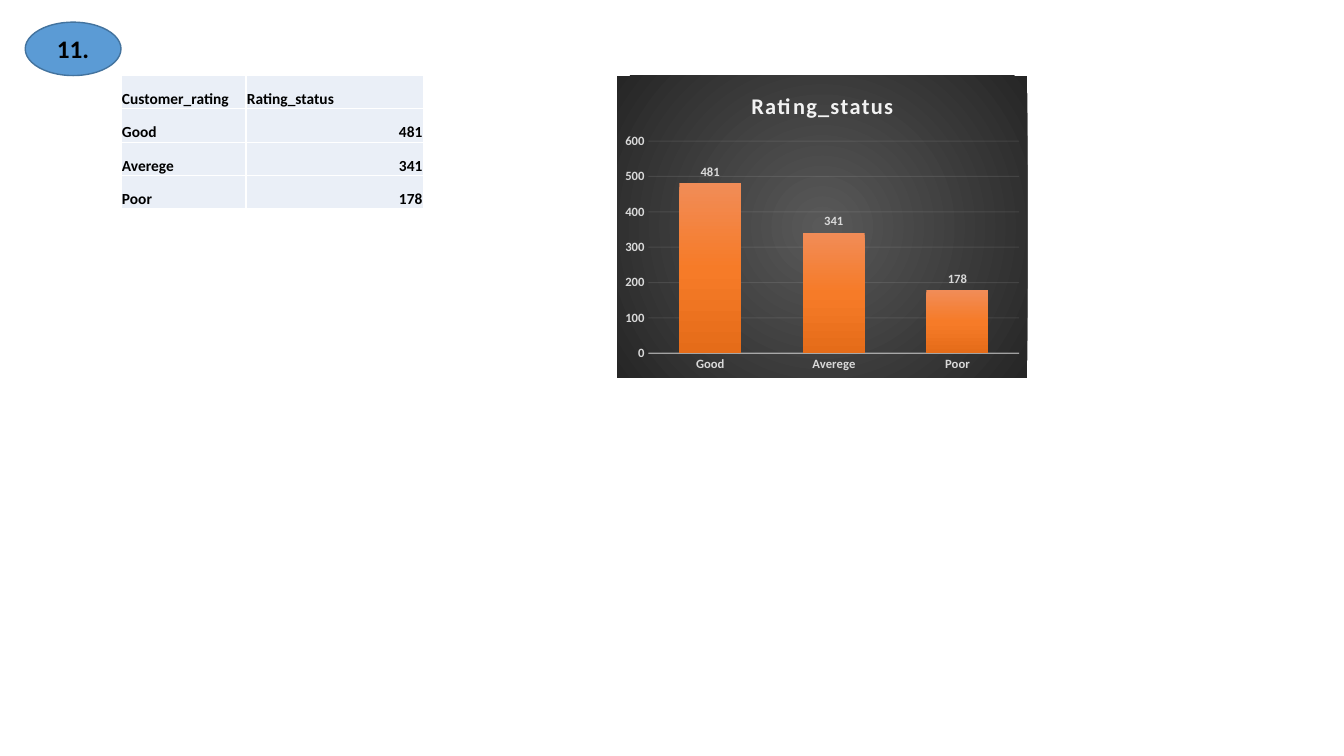
from dataclasses import dataclass

from pptx import Presentation
from pptx.chart.data import CategoryChartData
from pptx.dml.color import RGBColor
from pptx.enum.chart import XL_CHART_TYPE, XL_LABEL_POSITION, XL_TICK_MARK
from pptx.enum.shapes import MSO_SHAPE
from pptx.enum.text import MSO_ANCHOR, PP_ALIGN
from pptx.oxml import parse_xml
from pptx.oxml.ns import nsdecls, qn
from pptx.util import Emu, Pt

PX = 9144  # 100 px to the inch
COLUMN = XL_CHART_TYPE.COLUMN_CLUSTERED
OUTSIDE_END = XL_LABEL_POSITION.OUTSIDE_END
NO_TICK = XL_TICK_MARK.NONE
ELLIPSE = MSO_SHAPE.OVAL
MIDDLE, BOTTOM = MSO_ANCHOR.MIDDLE, MSO_ANCHOR.BOTTOM
LEFT, CENTER, RIGHT = PP_ALIGN.LEFT, PP_ALIGN.CENTER, PP_ALIGN.RIGHT


@dataclass(frozen=True)
class Theme:
    font: str = "Calibri"
    text: str = "000000"
    badge: str = "5B9BD5"
    badge_line: str = "43739E"
    cell: str = "EAEFF7"
    border: str = "FFFFFF"
    chart_text: str = "D9D9D9"
    chart_light: str = "F2F2F2"
    chart_back: tuple = ((0, "595959"), (100, "262626"))
    bar: tuple = ((0, "F18C57"), (50, "F67B28"), (100, "E56C19"))
    badge_size: int = 18
    title_size: int = 16
    table_size: int = 11
    chart_size: int = 10
    label_size: int = 9


def px(*values):
    return [Emu(v * PX) for v in values]


def gradient(stops, direction):
    gs = "".join(f'<a:gs pos="{pos * 1000}"><a:srgbClr val="{color}"/></a:gs>'
                 for pos, color in stops)
    return parse_xml(f'<a:gradFill {nsdecls("a")}><a:gsLst>{gs}</a:gsLst>'
                     f'{direction}</a:gradFill>')


class SlideBuilder:
    def __init__(self, slide, theme):
        self.slide, self.theme = slide, theme

    def style_font(self, font, size, color):
        values = {"name": self.theme.font, "size": Pt(size), "bold": True}
        for name, value in values.items():
            setattr(font, name, value)
        font.color.rgb = RGBColor.from_string(color)

    def add_text(self, tf, text, size, color, align):
        p = tf.paragraphs[0]
        p.alignment = align
        r = p.add_run()
        r.text = text
        self.style_font(r.font, size, color)
        return r

    def style_line(self, line, color, width, alpha=100):
        line.color.rgb = RGBColor.from_string(color)
        line.width = Pt(width)
        if alpha < 100:
            clr = next(line._get_or_add_ln().iter(qn("a:srgbClr")))
            clr.append(parse_xml(f'<a:alpha {nsdecls("a")} val="{alpha * 1000}"/>'))

    def badge(self, text, box):
        t = self.theme
        sp = self.slide.shapes.add_shape(ELLIPSE, *px(*box))
        sp.shadow.inherit = False
        sp.fill.solid()
        sp.fill.fore_color.rgb = RGBColor.from_string(t.badge)
        self.style_line(sp.line, t.badge_line, 1)
        sp.text_frame.vertical_anchor = MIDDLE
        self.add_text(sp.text_frame, text, t.badge_size, t.text, CENTER)

    def cell(self, cell, value):
        t = self.theme
        margin = Emu(PX)
        values = {"margin_left": margin, "margin_right": margin, "margin_top": margin,
                  "margin_bottom": 0, "vertical_anchor": BOTTOM}
        for name, v in values.items():
            setattr(cell, name, v)
        align = RIGHT if isinstance(value, int) else LEFT
        self.add_text(cell.text_frame, str(value), t.table_size, t.text, align)
        cell.fill.solid()
        cell.fill.fore_color.rgb = RGBColor.from_string(t.cell)
        tc_pr = cell._tc.get_or_add_tcPr()
        for i, side in enumerate(("lnL", "lnR", "lnT", "lnB")):
            tc_pr.insert(i, parse_xml(
                f'<a:{side} {nsdecls("a")} w="12700"><a:solidFill>'
                f'<a:srgbClr val="{t.border}"/></a:solidFill></a:{side}>'))

    def table(self, rows, left, top, widths, row_height):
        box = px(left, top, sum(widths), row_height * len(rows))
        table = self.slide.shapes.add_table(len(rows), len(widths), *box).table
        table.first_row = table.horz_banding = False
        for col, width in zip(table.columns, px(*widths)):
            col.width = width
        for r, row in enumerate(rows):
            table.rows[r].height = Emu(row_height * PX)
            for c, value in enumerate(row):
                self.cell(table.cell(r, c), value)

    def axis(self, axis):
        axis.major_tick_mark = axis.minor_tick_mark = NO_TICK
        self.style_font(axis.tick_labels.font, self.theme.label_size, self.theme.chart_text)

    def chart(self, title, points, box):
        t = self.theme
        data = CategoryChartData()
        data.categories = [name for name, _ in points]
        data.add_series(title, [value for _, value in points])
        chart = self.slide.shapes.add_chart(COLUMN, *px(*box), data).chart
        chart.has_legend = False
        self.style_font(chart.font, t.chart_size, t.text)

        # Title and background
        chart.has_title = True
        r = self.add_text(chart.chart_title.text_frame, title, t.title_size,
                          t.chart_light, CENTER)
        r._r.get_or_add_rPr().set("spc", "100")
        back = parse_xml(f'<c:spPr {nsdecls("c", "a")}><a:ln><a:noFill/></a:ln></c:spPr>')
        back.insert(0, gradient(t.chart_back, '<a:path path="circle"><a:fillToRect '
                                'l="50000" t="50000" r="50000" b="50000"/></a:path>'))
        chart.element.find(qn("c:chart")).addnext(back)

        # Axes
        cat, val = chart.category_axis, chart.value_axis
        self.axis(cat)
        self.axis(val)
        self.style_line(cat.format.line, t.chart_light, 1, 54)
        val.format.line.fill.background()
        val.minimum_scale, val.maximum_scale, val.major_unit = 0, 600, 100
        self.style_line(val.major_gridlines.format.line, t.chart_light, 0.75, 10)

        # Columns and their labels
        plot = chart.plots[0]
        plot.gap_width, plot.overlap, plot.vary_by_categories = 100, -24, False
        series = plot.series[0]
        series._element.get_or_add_spPr().append(
            gradient(t.bar, '<a:lin ang="5400000" scaled="0"/>'))
        labels = series.data_labels
        labels.show_value, labels.position = True, OUTSIDE_END
        self.style_font(labels.font, t.label_size, t.chart_text)


def main():
    prs = Presentation()
    prs.slide_width, prs.slide_height = px(1333, 750)
    s = SlideBuilder(prs.slides.add_slide(prs.slide_layouts[6]), Theme())

    ratings = [("Good", 481), ("Averege", 341), ("Poor", 178)]
    header = ("Customer_rating", "Rating_status")

    # Ratings table, chart and question number
    s.table([header, *ratings], 120, 75, (124, 176), 33)
    s.chart(header[1], ratings, (612, 75, 407, 300))
    s.badge("11.", (25, 22, 95, 53))

    prs.save("out.pptx")


if __name__ == "__main__":
    main()
